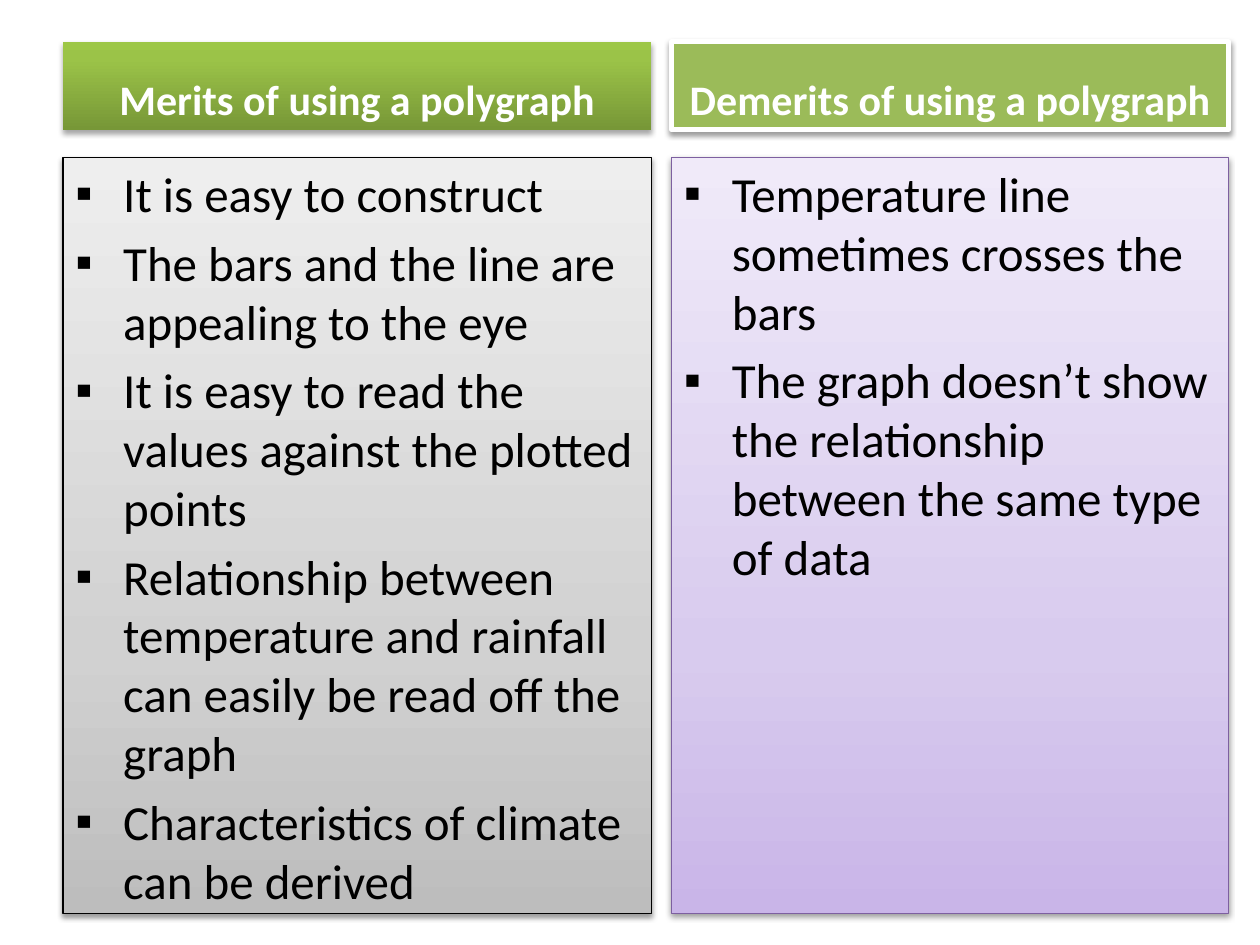
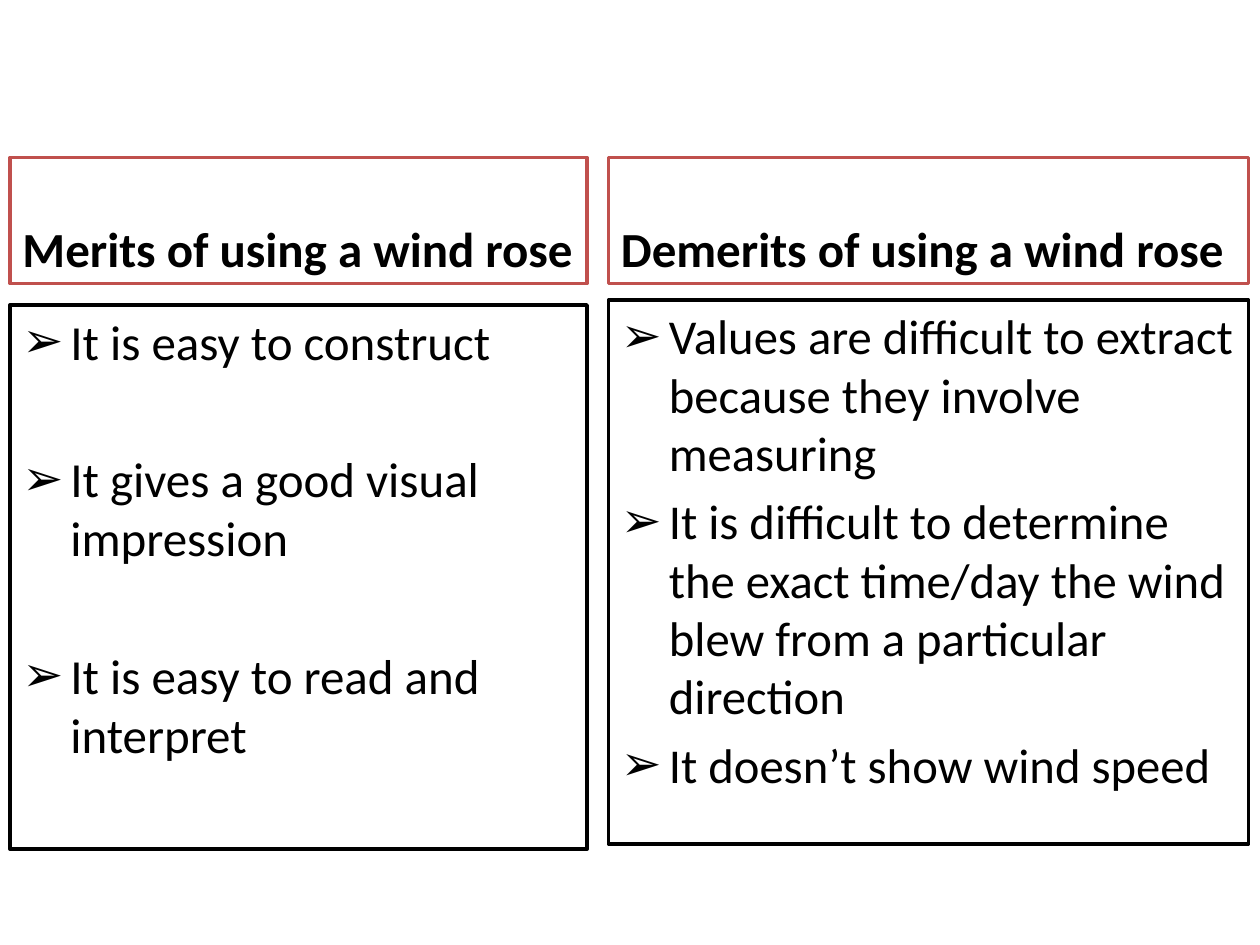
from copy import deepcopy
from dataclasses import dataclass

from lxml import etree
from pptx import Presentation
from pptx.dml.color import RGBColor
from pptx.enum.shapes import MSO_SHAPE
from pptx.enum.text import MSO_ANCHOR, PP_ALIGN
from pptx.oxml.ns import qn
from pptx.util import Inches, Pt


@dataclass(frozen=True)
class Theme:
    font: str = "Calibri"
    black: str = "000000"
    white: str = "FFFFFF"
    green: str = "9BBB59"
    red: str = "C0504D"
    purple: str = "7D60A0"
    # Gradient stops run from the bottom edge to the top: (position, colour)
    green_fade: tuple = ((0, "779737"), (0.8, "9BC348"), (1, "9DC746"))
    grey_fade: tuple = ((0, "BDBDBD"), (0.35, "D1D1D1"), (1, "EEEEEE"))
    purple_fade: tuple = ((0, "C9B5E8"), (0.35, "D8CBEE"), (1, "F0EAF9"))
    band_size: float = 24
    text_size: float = 28
    tight_size: float = 27.8
    gap: float = 5.6
    wide_gap: float = 45
    indent: float = 0.38
    thin: float = 0.75
    medium: float = 2
    thick: float = 3


class Deck:
    def __init__(self, theme):
        self.theme = theme
        self.prs = Presentation()
        self.prs.slide_width = Inches(10)
        self.prs.slide_height = Inches(7.5)
        self.s = None

    def new_slide(self):
        self.s = self.prs.slides.add_slide(self.prs.slide_layouts[6])

    def panel(self, at, fill, line=None, shadow=None):
        """Rectangle with a plain or graded fill; line is (colour, width)."""
        sp = self.s.shapes.add_shape(MSO_SHAPE.RECTANGLE, *map(Inches, at))
        sp.shadow.inherit = False
        if isinstance(fill, str):
            sp.fill.solid()
            sp.fill.fore_color.rgb = RGBColor.from_string(fill)
        else:
            self.fade(sp, fill)
        if line:
            color, width = line
            sp.line.color.rgb = RGBColor.from_string(color)
            sp.line.width = Pt(width)
        else:
            sp.line.fill.background()
        if shadow:
            self.drop_shadow(sp, *shadow)
        sp.text_frame.word_wrap = True
        return sp

    def fade(self, sp, stops):
        sp.fill.gradient()
        sp.fill.gradient_angle = 90
        gs_list = sp._element.spPr.find(qn("a:gradFill")).find(qn("a:gsLst"))
        while len(gs_list) < len(stops):
            gs_list.append(deepcopy(gs_list[0]))
        for stop, (position, color) in zip(sp.fill.gradient_stops, stops):
            stop.position = position
            stop.color.rgb = RGBColor.from_string(color)

    def drop_shadow(self, sp, alpha, distance):
        effects = sp._element.spPr.find(qn("a:effectLst"))
        outer = etree.SubElement(
            effects, qn("a:outerShdw"), blurRad=str(Pt(3.1)),
            dist=str(Pt(distance)), dir="5400000", rotWithShape="0")
        color = etree.SubElement(outer, qn("a:srgbClr"), val=self.theme.black)
        etree.SubElement(color, qn("a:alpha"), val=str(alpha * 1000))

    def style(self, p, size, color, bold=False):
        for r in p.runs:
            r.font.name = self.theme.font
            r.font.size = Pt(size)
            r.font.bold = bold
            r.font.color.rgb = RGBColor.from_string(color)

    def heading(self, sp, text, size, color, align):
        tf = sp.text_frame
        tf.text = text
        tf.vertical_anchor = MSO_ANCHOR.BOTTOM
        p = tf.paragraphs[0]
        p.alignment = align
        self.style(p, size, color, bold=True)

    def bullets(self, sp, items, mark, size=None, gap=None):
        tf = sp.text_frame
        tf.text = "\n".join(items)
        tf.vertical_anchor = MSO_ANCHOR.TOP
        indent = Inches(self.theme.indent)
        for i, p in enumerate(tf.paragraphs):
            p.alignment = PP_ALIGN.LEFT
            p.space_before = Pt((gap or self.theme.gap) if i else 0)
            pPr = p._p.get_or_add_pPr()
            pPr.set("marL", str(indent))
            pPr.set("indent", str(-indent))
            etree.SubElement(pPr, qn("a:buFont"), typeface="Arial")
            etree.SubElement(pPr, qn("a:buChar"), char=mark)
            self.style(p, size or self.theme.text_size, self.theme.black)


def polygraph_slide(deck):
    t = deck.theme
    deck.new_slide()
    soft = (38, 1.6)
    columns = (
        ("Merits of using a polygraph", 0.5, 4.67,
         (t.green_fade, None, (35, 1.8)),
         (t.grey_fade, (t.black, t.thin), soft),
         ("It is easy to construct",
          "The bars and the line are appealing to the eye",
          "It is easy to read the values against the plotted points",
          "Relationship between temperature and rainfall can easily be "
          "read off the graph",
          "Characteristics of climate can be derived")),
        ("Demerits of using a polygraph", 5.33, 4.42,
         (t.green, (t.white, t.thick), soft),
         (t.purple_fade, (t.purple, t.thin), soft),
         ("Temperature line sometimes crosses the bars",
          "The graph doesn’t show the relationship between the same type "
          "of data")),
    )
    for title, left, width, band_look, list_look, points in columns:
        band = deck.panel((left, 0.33, width, 0.7), *band_look)
        deck.heading(band, title, t.band_size, t.white, PP_ALIGN.CENTER)
        box = deck.panel((left, 1.25, width, 6), *list_look)
        deck.bullets(box, points, "▪")


def wind_rose_slide(deck):
    t = deck.theme
    deck.new_slide()
    columns = (
        ("Merits of using a wind rose", 0.08, 4.58, 2.42,
         t.text_size, t.wide_gap,
         ("It is easy to construct",
          "It gives a good visual impression",
          "It is easy to read and interpret")),
        ("Demerits of using a wind rose", 4.83, 5.08, 2.38,
         t.tight_size, t.gap,
         ("Values are difficult to extract because they involve measuring",
          "It is difficult to determine the exact time/day the wind blew "
          "from a particular direction",
          "It doesn’t show wind speed")),
    )
    for title, left, width, list_top, size, gap, points in columns:
        band = deck.panel((left, 1.25, width, 1), t.white, (t.red, t.medium))
        deck.heading(band, title, t.text_size, t.black, PP_ALIGN.LEFT)
        box = deck.panel((left, list_top, width, 4.32), t.white,
                         (t.black, t.medium))
        deck.bullets(box, points, "➢", size, gap)


def main():
    deck = Deck(Theme())
    polygraph_slide(deck)
    wind_rose_slide(deck)
    deck.prs.save("out.pptx")


if __name__ == "__main__":
    main()
